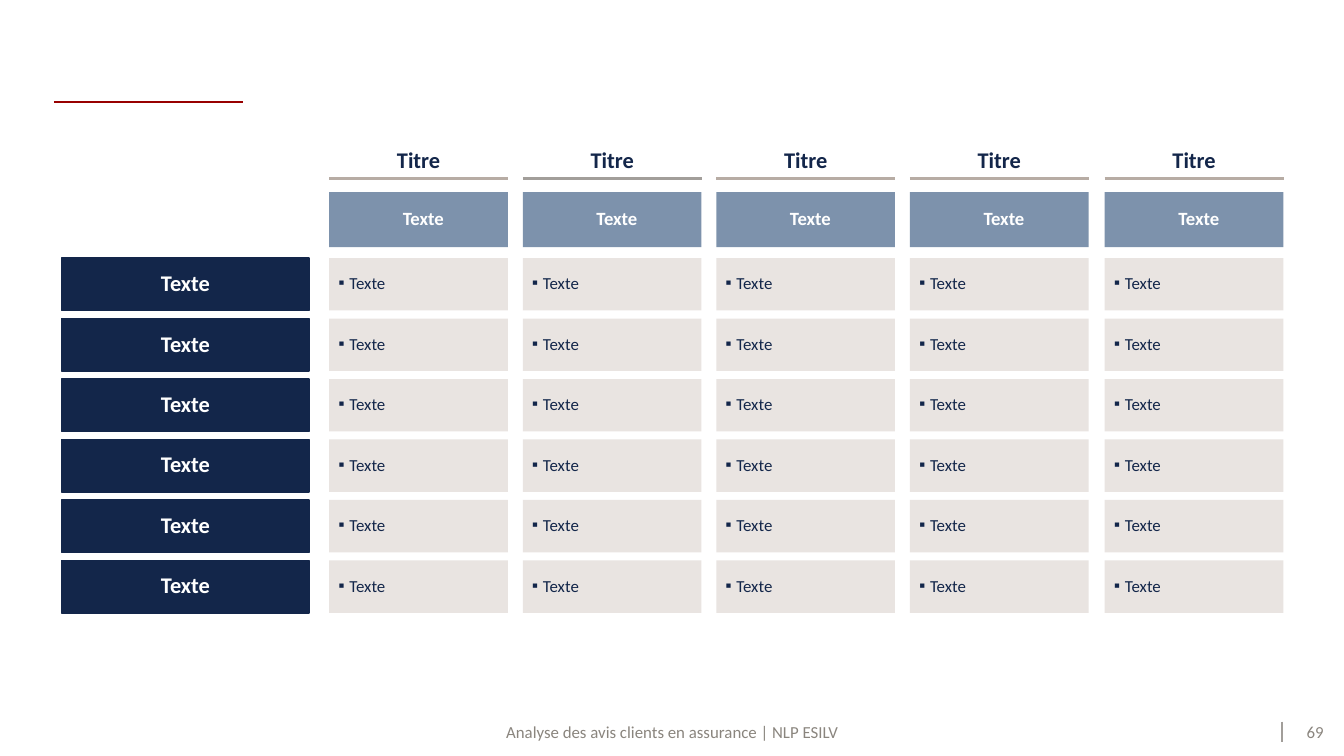
"""Build a five-column comparison grid with row labels, column headings and a footer."""
from dataclasses import dataclass

from lxml import etree
from pptx import Presentation
from pptx.dml.color import RGBColor
from pptx.enum.shapes import MSO_CONNECTOR, MSO_SHAPE
from pptx.enum.text import MSO_ANCHOR, PP_ALIGN
from pptx.oxml.ns import qn
from pptx.util import Inches, Pt

STRAIGHT = MSO_CONNECTOR.STRAIGHT
RECTANGLE = MSO_SHAPE.RECTANGLE
MIDDLE, BOTTOM = MSO_ANCHOR.MIDDLE, MSO_ANCHOR.BOTTOM
CENTER, LEFT = PP_ALIGN.CENTER, PP_ALIGN.LEFT

NAVY = RGBColor(0x13, 0x26, 0x4A)
SLATE = RGBColor(0x7D, 0x92, 0xAC)
SAND = RGBColor(0xE9, 0xE4, 0xE1)
TAUPE = RGBColor(0xB7, 0xAC, 0xA4)
GREY = RGBColor(0xA2, 0x9E, 0x9A)
FOOTER_GREY = RGBColor(0x8A, 0x85, 0x7E)
RED = RGBColor(0x98, 0x00, 0x00)
WHITE = RGBColor(0xFF, 0xFF, 0xFF)

FONT = "Calibri"
SLIDE_WIDTH = 10
SLIDE_HEIGHT = SLIDE_WIDTH * 9 / 16
COLUMN_LEFTS = [2.45, 3.89, 5.33, 6.77, 8.22]
COLUMN_WIDTH = 1.33
ROW_TOP, ROW_PITCH, ROW_HEIGHT = 1.92, 0.45, 0.39
LABEL_LEFT, LABEL_WIDTH = 0.46, 1.84
TITLE_TOP, TITLE_HEIGHT, RULE_TOP = 1.07, 0.25, 1.33
SUBHEAD_TOP, SUBHEAD_HEIGHT = 1.43, 0.41
FOOTER_TOP, FOOTER_HEIGHT = 5.35, 0.21
BULLET_INDENT = 0.08

COLUMN_TITLES = ["Titre"] * 5
COLUMN_SUBHEADS = ["Texte"] * 5
RULE_COLORS = [TAUPE, GREY, TAUPE, TAUPE, TAUPE]
ROW_LABELS = ["Texte"] * 6
CELL_TEXTS = [["Texte"] * 5 for _ in ROW_LABELS]


@dataclass(frozen=True)
class Area:
    """Position and size in inches."""
    left: float
    top: float
    width: float
    height: float

    def emu(self) -> list[int]:
        """Return the four lengths in slide units."""
        return [Inches(v) for v in (self.left, self.top, self.width, self.height)]


@dataclass(frozen=True)
class Style:
    """Look of a text and of the box around it."""
    size: float
    color: RGBColor
    bold: bool = False
    fill: RGBColor | None = None
    outline: RGBColor | None = None
    insets: tuple[float, float, float, float] = (0, 0, 0, 0)
    anchor: MSO_ANCHOR = MIDDLE
    bulleted: bool = False


FOOTER = Style(9, FOOTER_GREY, insets=(0.03, 0.03, 0.03, 0.03))
TITLE = Style(12, NAVY, bold=True, insets=(0, 0, 0, 0.03), anchor=BOTTOM)
SUBHEAD = Style(10, WHITE, bold=True, fill=SLATE, insets=(0.07, 0, 0, 0))
CELL = Style(9, NAVY, fill=SAND, insets=(0.07, 0, 0, 0), bulleted=True)
LABEL = Style(12, WHITE, bold=True, fill=NAVY, outline=NAVY)


def add_bullet(paragraph, color: RGBColor) -> None:
    """Give the paragraph a small square bullet with a hanging indent."""
    properties = paragraph._p.get_or_add_pPr()
    properties.set("marL", str(Inches(BULLET_INDENT)))
    properties.set("indent", str(-Inches(BULLET_INDENT)))
    bullet_color = etree.SubElement(properties, qn("a:buClr"))
    etree.SubElement(bullet_color, qn("a:srgbClr"), val=str(color))
    etree.SubElement(properties, qn("a:buFont"), typeface=FONT)
    etree.SubElement(properties, qn("a:buChar"), char="▪")


def add_box(shapes, area: Area, text: str, style: Style) -> None:
    """Draw a text, in a filled rectangle when the style has a fill."""
    if style.fill is None:
        box = shapes.add_textbox(*area.emu())
    else:
        box = shapes.add_shape(RECTANGLE, *area.emu())
        box.shadow.inherit = False
        box.fill.solid()
        box.fill.fore_color.rgb = style.fill
        if style.outline is None:
            box.line.fill.background()
        else:
            box.line.color.rgb = style.outline
            box.line.width = Pt(0.75)
    frame = box.text_frame
    frame.word_wrap = True
    frame.vertical_anchor = style.anchor
    (frame.margin_left, frame.margin_top,
     frame.margin_right, frame.margin_bottom) = map(Inches, style.insets)
    frame.text = text
    paragraph = frame.paragraphs[0]
    if style.bulleted:
        add_bullet(paragraph, style.color)
    paragraph.alignment = LEFT if style.bulleted else CENTER
    paragraph.line_spacing = 0.9
    font = paragraph.runs[0].font
    font.name, font.size, font.bold = FONT, Pt(style.size), style.bold
    font.color.rgb = style.color


def add_rule(shapes, start: tuple[float, float], end: tuple[float, float],
             color: RGBColor, width: float) -> None:
    """Draw a straight line without shadow."""
    rule = shapes.add_connector(STRAIGHT, *map(Inches, start + end))
    rule.line.color.rgb = color
    rule.line.width = Pt(width)
    etree.SubElement(rule._element.spPr, qn("a:effectLst"))


def add_frame(shapes) -> None:
    """Draw the title rule, the footer and the page number."""
    add_box(shapes, Area(3.27, FOOTER_TOP, 3.46, FOOTER_HEIGHT),
            "Analyse des avis clients en assurance | NLP ESILV", FOOTER)
    add_rule(shapes, (0.4, 0.76), (1.81, 0.76), RED, 1.25)
    add_rule(shapes, (9.54, 5.37), (9.54, 5.52), GREY, 0.75)
    add_box(shapes, Area(9.64, FOOTER_TOP, 0.29, FOOTER_HEIGHT), "69", FOOTER)


def add_column(shapes, column: int) -> None:
    """Draw one column: grouped title and rule, subhead and cells."""
    left = COLUMN_LEFTS[column]
    heading = shapes.add_group_shape().shapes
    add_box(heading, Area(left, TITLE_TOP, COLUMN_WIDTH, TITLE_HEIGHT),
            COLUMN_TITLES[column], TITLE)
    add_rule(heading, (left, RULE_TOP), (left + COLUMN_WIDTH, RULE_TOP),
             RULE_COLORS[column], 1.5)
    add_box(shapes, Area(left, SUBHEAD_TOP, COLUMN_WIDTH, SUBHEAD_HEIGHT),
            COLUMN_SUBHEADS[column], SUBHEAD)
    for row, texts in enumerate(CELL_TEXTS):
        top = ROW_TOP + row * ROW_PITCH
        add_box(shapes, Area(left, top, COLUMN_WIDTH, ROW_HEIGHT), texts[column], CELL)


def main() -> None:
    """Build and save the slide."""
    presentation = Presentation()
    presentation.slide_width = Inches(SLIDE_WIDTH)
    presentation.slide_height = Inches(SLIDE_HEIGHT)
    shapes = presentation.slides.add_slide(presentation.slide_layouts[6]).shapes
    add_frame(shapes)
    for column in range(len(COLUMN_TITLES)):
        add_column(shapes, column)
    for row, label in enumerate(ROW_LABELS):
        top = ROW_TOP + row * ROW_PITCH
        add_box(shapes, Area(LABEL_LEFT, top, LABEL_WIDTH, ROW_HEIGHT), label, LABEL)
    presentation.save("out.pptx")


if __name__ == "__main__":
    main()
